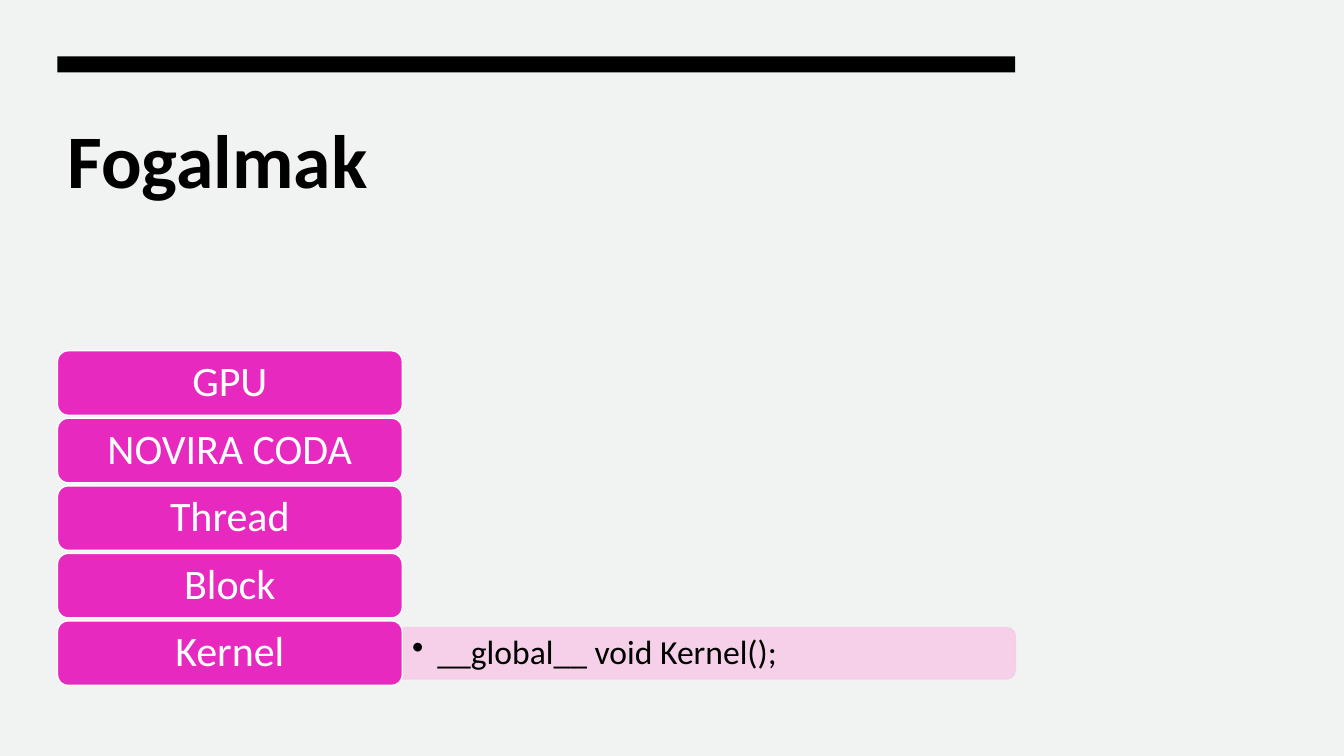
from dataclasses import dataclass

from lxml import etree
from pptx import Presentation
from pptx.dml.color import RGBColor
from pptx.enum import shapes, text
from pptx.oxml import ns
from pptx.util import Inches, Pt

BLACK, WHITE, PAPER = "000000", "FFFFFF", "F0F3F1"
MAGENTA, PINK = "E729BF", "F6CDE8"
LEFT, RULE_WIDTH = 0.57, 9.5
FIRST_TOP, PITCH, TERM_WIDTH, TERM_HEIGHT = 3.48, 0.67, 3.42, 0.64
TERM_FORMAT = {"alignment": text.PP_ALIGN.CENTER, "line_spacing": 0.9}
CODE_FORMAT = {"alignment": text.PP_ALIGN.LEFT, "line_spacing": 0.9}
TERM_FRAME = {"word_wrap": True, "vertical_anchor": text.MSO_ANCHOR.MIDDLE,
              "margin_left": Inches(0.15), "margin_right": Inches(0.15),
              "margin_top": Inches(0.09), "margin_bottom": Inches(0.09)}
CODE_FRAME = {"word_wrap": True, "vertical_anchor": text.MSO_ANCHOR.MIDDLE}
TITLE_FRAME = {"word_wrap": True, "vertical_anchor": text.MSO_ANCHOR.TOP,
               "auto_size": text.MSO_AUTO_SIZE.NONE}


@dataclass
class Term:
    name: str
    code: str = ""


TERMS = [Term("GPU"), Term("NOVIRA CODA"), Term("Thread"), Term("Block"),
         Term("Kernel", "__global__ void Kernel();")]


def colour(value: str) -> RGBColor:
    return RGBColor.from_string(value)


def apply(target, values: dict) -> None:
    for name, value in values.items():
        setattr(target, name, value)


def write(shape, words: str, size: int, ink: str, frame: dict,
          layout: dict, bold: bool = False):
    apply(shape.text_frame, frame)
    paragraph = shape.text_frame.paragraphs[0]
    apply(paragraph, layout)
    run = paragraph.add_run()
    run.text = words
    apply(run.font, {"name": "Calibri", "size": Pt(size), "bold": bold})
    run.font.color.rgb = colour(ink)
    return paragraph


def add_box(slide, kind, left: float, top: float, width: float,
            height: float, fill: str, line: str = ""):
    box = slide.shapes.add_shape(kind, Inches(left), Inches(top),
                                 Inches(width), Inches(height))
    box.shadow.inherit = False
    box.fill.solid()
    box.fill.fore_color.rgb = colour(fill)
    if line:
        box.line.color.rgb = colour(line)
        box.line.width = Pt(1)
    else:
        box.line.fill.background()
    return box


def add_code(slide, code: str, top: float) -> None:
    # Band turned on its side, so that its round corners face right
    left, length, depth = LEFT + TERM_WIDTH, 6.08, 0.51
    middle = top + TERM_HEIGHT / 2
    band = add_box(slide, shapes.MSO_SHAPE.ROUND_2_SAME_RECTANGLE,
                   left + (length - depth) / 2, middle - length / 2,
                   depth, length, PINK, PINK)
    band.rotation = 90
    for tint in band.fill._xPr.iter(ns.qn("a:srgbClr")):
        etree.SubElement(tint, ns.qn("a:alpha"), val="90000")

    # Bulleted line of code
    label = slide.shapes.add_textbox(Inches(left), Inches(middle - 0.23),
                                     Inches(length), Inches(0.46))
    paragraph = write(label, code, 24, BLACK, CODE_FRAME, CODE_FORMAT)
    settings = paragraph._p.get_or_add_pPr()
    settings.set("marL", str(Inches(0.25)))
    settings.set("indent", str(-Inches(0.25)))
    etree.SubElement(settings, ns.qn("a:buChar"), char="•")


def add_term(slide, term: Term, top: float) -> None:
    if term.code:
        add_code(slide, term.code, top)
    box = add_box(slide, shapes.MSO_SHAPE.ROUNDED_RECTANGLE, LEFT, top,
                  TERM_WIDTH, TERM_HEIGHT, MAGENTA, WHITE)
    write(box, term.name, 30, WHITE, TERM_FRAME, TERM_FORMAT)


# Slide and background
deck = Presentation()
apply(deck, {"slide_width": Inches(13.33), "slide_height": Inches(7.5)})
slide = deck.slides.add_slide(deck.slide_layouts[5])
slide.background.fill.solid()
slide.background.fill.fore_color.rgb = colour(PAPER)

# Title under its rule
title = slide.shapes.title
apply(title, {"left": Inches(LEFT), "top": Inches(1.07),
              "width": Inches(RULE_WIDTH), "height": Inches(2.12)})
write(title, "Fogalmak", 54, BLACK, TITLE_FRAME,
      {"alignment": text.PP_ALIGN.LEFT}, bold=True)
add_box(slide, shapes.MSO_SHAPE.RECTANGLE, LEFT, 0.56, RULE_WIDTH, 0.16, BLACK)

# Stack of terms
for row, term in enumerate(TERMS):
    add_term(slide, term, FIRST_TOP + row * PITCH)

deck.save("out.pptx")
